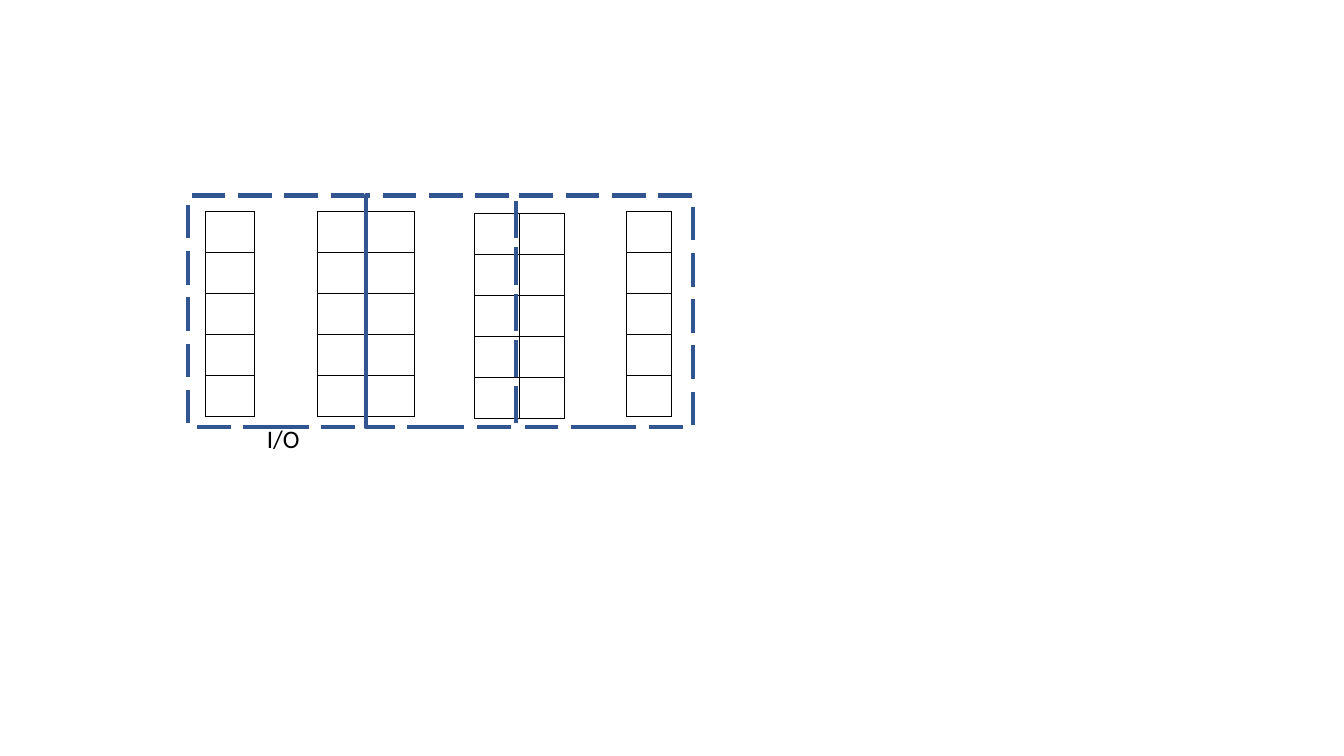
from pptx import Presentation
from pptx.dml.color import RGBColor
from pptx.enum import dml, shapes, text
from pptx.oxml import parse_xml
from pptx.oxml.ns import nsdecls
from pptx.util import Pt

BLACK = RGBColor(0x00, 0x00, 0x00)
BLUE = RGBColor(0x32, 0x54, 0x91)

ROWS, ROW_H = 5, 29.25
GRIDS = [
    (147, 151.2, 1, 34.7),
    (226.8, 151.2, 2, 34.7),
    (339.1, 152.6, 2, 32),
    (447.8, 151.2, 1, 32),
]
LABEL = ("I/O", 183.6, 298.8, 38.2, 28.8)
LEFT, TOP, HIGH = 134.6, 139.7, 165.6
WIDTHS = [126.7, 107.3, 126.7]

deck = Presentation()
deck.slide_width, deck.slide_height = Pt(960), Pt(540)
slide = deck.slides.add_slide(deck.slide_layouts[6])


def edge(cell):
    props = cell._tc.get_or_add_tcPr()
    for side in "LRTB":
        props.append(parse_xml(
            f'<a:ln{side} {nsdecls("a")} w="{Pt(1)}"><a:solidFill>'
            f'<a:srgbClr val="{BLACK}"/></a:solidFill></a:ln{side}>'))


def add_grid(x, y, cols, wide):
    frame = slide.shapes.add_table(
        ROWS, cols, Pt(x), Pt(y), Pt(cols * wide), Pt(ROWS * ROW_H))
    table = frame.table
    table.first_row = table.horz_banding = False
    for col in table.columns:
        col.width = Pt(wide)
    for row in table.rows:
        row.height = Pt(ROW_H)
        for cell in row.cells:
            edge(cell)
            cell.fill.background()


def add_label(words, *place):
    box = slide.shapes.add_textbox(*map(Pt, place))
    frame = box.text_frame
    frame.word_wrap = False
    frame.auto_size = text.MSO_AUTO_SIZE.SHAPE_TO_FIT_TEXT
    run = frame.paragraphs[0].add_run()
    run.text = words
    run.font.name, run.font.size = "Calibri", Pt(18)
    run.font.color.rgb = BLACK


def add_zone(x, wide):
    zone = slide.shapes.add_shape(
        shapes.MSO_SHAPE.RECTANGLE, Pt(x), Pt(TOP), Pt(wide), Pt(HIGH))
    zone.shadow.inherit = False
    zone.fill.background()
    zone.line.color.rgb = BLUE
    zone.line.width = Pt(3)
    zone.line.dash_style = dml.MSO_LINE.LONG_DASH


for grid in GRIDS:
    add_grid(*grid)
add_label(*LABEL)
for i, wide in enumerate(WIDTHS):
    add_zone(LEFT + sum(WIDTHS[:i]), wide)

deck.save("out.pptx")
